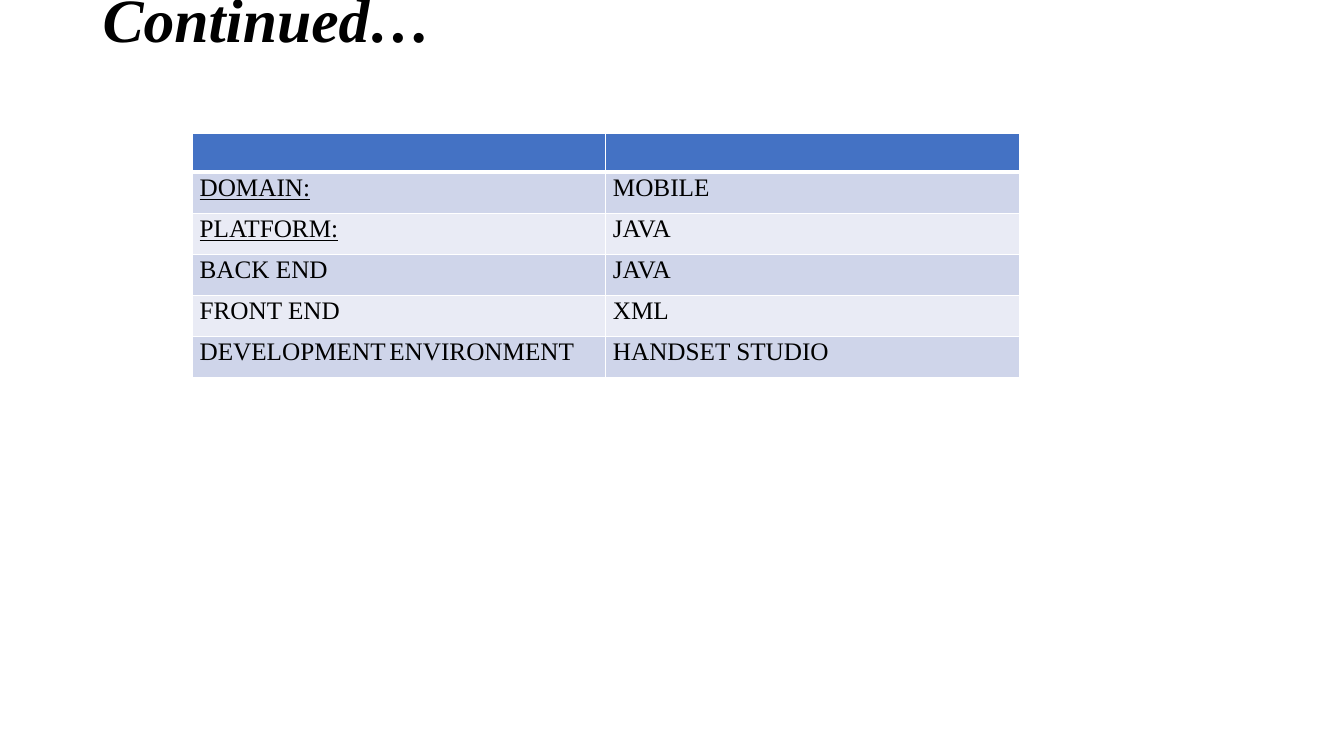
import dataclasses

import lxml.etree
import pptx
import pptx.dml.color
import pptx.enum.text
import pptx.oxml.ns
import pptx.util


@dataclasses.dataclass(frozen=True)
class Theme:
    """Colours, fonts and type sizes of the deck."""
    ink: str = "000000"
    header: str = "4472C4"
    bands: tuple = ("CFD5EA", "E9EBF5")
    border: str = "FFFFFF"
    font: str = "Times New Roman"
    space_font: str = "Calibri"
    title_size: float = 44
    cell_size: float = 18
    space_size: float = 11


THEME = Theme()
SLIDE_WIDTH = pptx.util.Inches(13.33)
SLIDE_HEIGHT = pptx.util.Inches(7.5)
HEADER_HEIGHT, ROW_HEIGHT = 5.2, 5.42
ROWS = (
    ("DOMAIN:", "MOBILE"),
    ("PLATFORM:", "JAVA"),
    ("BACK END", "JAVA"),
    ("FRONT END", "XML"),
    ("DEVELOPMENT ENVIRONMENT", "HANDSET STUDIO"),
)


def across(percent):
    """Return a percentage of the slide's width."""
    return int(SLIDE_WIDTH * percent / 100)


def down(percent):
    """Return a percentage of the slide's height."""
    return int(SLIDE_HEIGHT * percent / 100)


def apply(target, values):
    """Set attributes of an object from a dict."""
    for name, value in values.items():
        setattr(target, name, value)


def add_span(para, text, size, font=THEME.font, **values):
    """Add a run of formatted text to a paragraph."""
    span = para.add_run()
    span.text = text
    apply(span.font, {"name": font, "size": pptx.util.Pt(size), **values})
    span.font.color.rgb = pptx.dml.color.RGBColor.from_string(THEME.ink)


def set_title(slide, text):
    """Place and fill the title, which ends in a line break."""
    box = slide.shapes.title
    apply(box, {"left": across(6.88), "top": down(1.47),
                "width": across(86.25), "height": down(12.67)})
    apply(box.text_frame, {
        "word_wrap": True,
        "auto_size": pptx.enum.text.MSO_AUTO_SIZE.NONE,
        "vertical_anchor": pptx.enum.text.MSO_ANCHOR.MIDDLE})
    para = box.text_frame.paragraphs[0]
    apply(para, {"alignment": pptx.enum.text.PP_ALIGN.LEFT,
                 "line_spacing": 0.9})
    add_span(para, text, THEME.title_size, bold=True, italic=True)
    para.add_line_break()


def set_borders(cell, widths):
    """Draw the left, right, top and bottom borders of a cell."""
    properties = cell._tc.get_or_add_tcPr()
    name = pptx.oxml.ns.qn
    for index, (side, width) in enumerate(widths.items()):
        line = lxml.etree.Element(name("a:ln" + side),
                                  w=str(pptx.util.Pt(width)))
        fill = lxml.etree.SubElement(line, name("a:solidFill"))
        lxml.etree.SubElement(fill, name("a:srgbClr"), val=THEME.border)
        properties.insert(index, line)


def format_cell(cell, colour, top=1, bottom=1):
    """Set the fill, insets and borders of a cell."""
    inset = pptx.util.Inches(0.07)
    apply(cell, {"margin_left": inset, "margin_right": inset,
                 "margin_top": 0, "margin_bottom": 0})
    cell.fill.solid()
    cell.fill.fore_color.rgb = pptx.dml.color.RGBColor.from_string(colour)
    set_borders(cell, {"L": 1, "R": 1, "T": top, "B": bottom})


def fill_cell(cell, text):
    """Write text in a cell: labels with a colon are underlined."""
    para = cell.text_frame.paragraphs[0]
    para.line_spacing = 1.07
    if text.startswith("DEVELOPMENT"):
        first, space, last = text.partition(" ")
        add_span(para, first, THEME.cell_size)
        add_span(para, space, THEME.space_size, THEME.space_font)
        add_span(para, last, THEME.cell_size)
    else:
        add_span(para, text, THEME.cell_size, underline=text.endswith(":"))


def add_details(slide, rows):
    """Add the table with an empty header and banded rows."""
    height = HEADER_HEIGHT + ROW_HEIGHT * len(rows)
    table = slide.shapes.add_table(
        len(rows) + 1, len(rows[0]), across(14.33), down(17.6),
        across(61.5), down(height)).table
    table.rows[0].height = down(HEADER_HEIGHT)
    for cell in table.rows[0].cells:
        format_cell(cell, THEME.header, bottom=3)
    for index, texts in enumerate(rows):
        row = table.rows[index + 1]
        row.height = down(ROW_HEIGHT)
        for cell, text in zip(row.cells, texts):
            format_cell(cell, THEME.bands[index % 2],
                        top=1 if index else 3)
            fill_cell(cell, text)


def main():
    """Build and save the deck."""
    deck = pptx.Presentation()
    apply(deck, {"slide_width": SLIDE_WIDTH, "slide_height": SLIDE_HEIGHT})
    slide = deck.slides.add_slide(deck.slide_layouts.get_by_name("Title Only"))
    set_title(slide, "Continued…")
    add_details(slide, ROWS)
    deck.save("out.pptx")


main()
